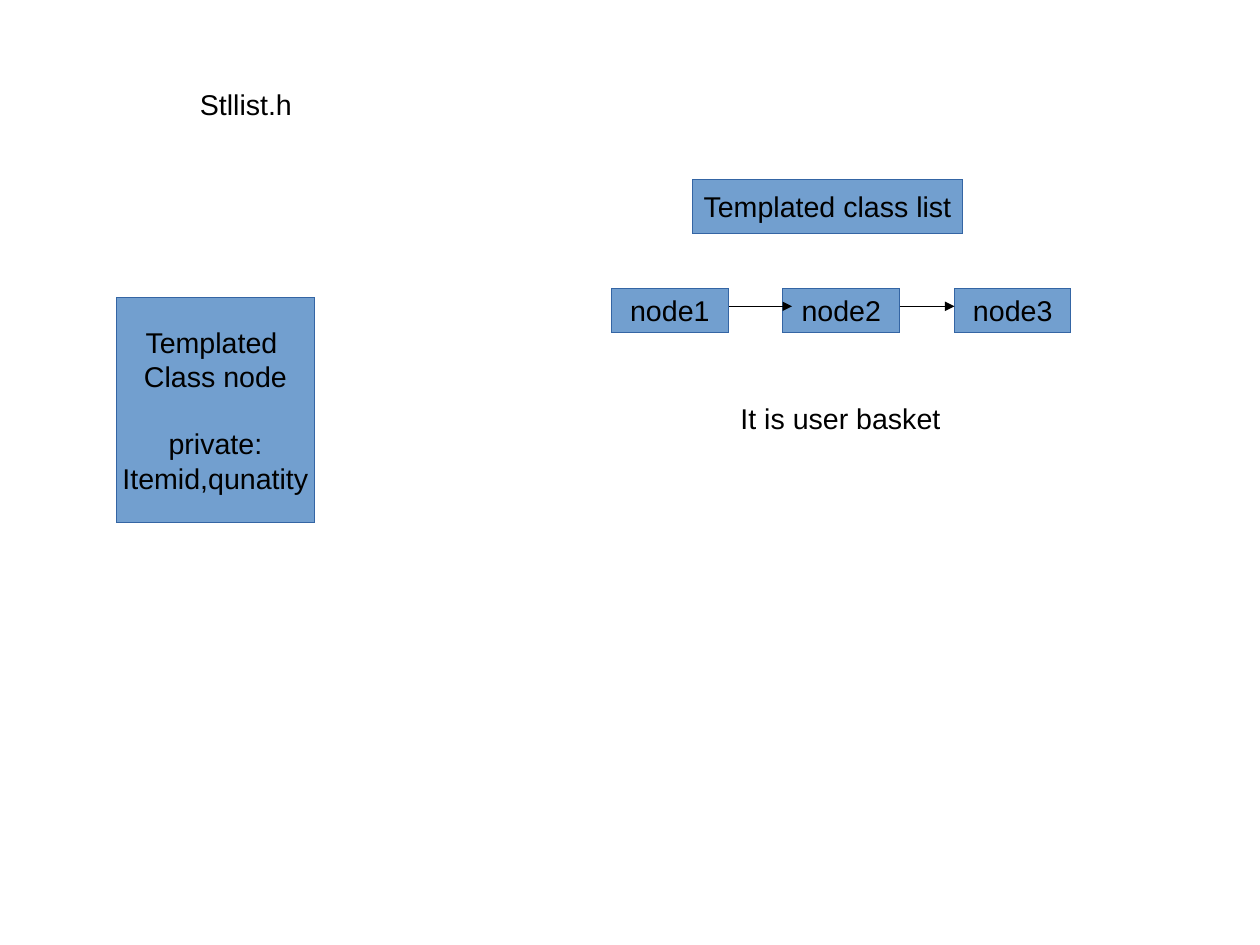
from pptx import Presentation
from pptx.dml.color import RGBColor
from pptx.enum.shapes import MSO_CONNECTOR, MSO_SHAPE
from pptx.enum.text import MSO_ANCHOR, MSO_AUTO_SIZE, PP_ALIGN
from pptx.oxml.ns import qn
from pptx.util import Cm, Inches, Pt
from lxml import etree

RECTANGLE = MSO_SHAPE.RECTANGLE
STRAIGHT = MSO_CONNECTOR.STRAIGHT
LEFT, CENTER = PP_ALIGN.LEFT, PP_ALIGN.CENTER
TOP, MIDDLE = MSO_ANCHOR.TOP, MSO_ANCHOR.MIDDLE
GROW = MSO_AUTO_SIZE.SHAPE_TO_FIT_TEXT
BLANK_LAYOUT = 6
LINE_HEIGHT = 20.7

prs = Presentation()
prs.slide_width, prs.slide_height = Cm(28), Cm(21)
slide = prs.slides.add_slide(prs.slide_layouts[BLANK_LAYOUT])


def draw_hairline(line, hex_code):
    """Give a line its colour and the explicit width 0; return its XML."""
    line.color.rgb = RGBColor.from_string(hex_code)
    outline = line._get_or_add_ln()
    outline.set("w", "0")
    return outline


def add_text(text, left, top, width, height, boxed=True, wrap=False, gap_before=None):
    """Add text, boxed in blue or plain, with a gap above the line gap_before."""
    place = [Inches(length) for length in (left, top, width, height)]
    if boxed:
        holder = slide.shapes.add_shape(RECTANGLE, *place)
        holder.shadow.inherit = False
        holder.fill.solid()
        holder.fill.fore_color.rgb = RGBColor.from_string("729FCF")
        draw_hairline(holder.line, "3465A4")
    else:
        holder = slide.shapes.add_textbox(*place)
    frame = holder.text_frame
    frame.text = text
    frame.word_wrap = wrap
    frame.vertical_anchor = MIDDLE if boxed else TOP
    if not boxed:
        frame.auto_size = GROW
    for number, paragraph in enumerate(frame.paragraphs):
        paragraph.alignment = CENTER if boxed else LEFT
        if number == gap_before:
            paragraph.space_before = Pt(LINE_HEIGHT)
        for run in paragraph.runs:
            run.font.name, run.font.size = "Arial", Pt(18)
            run.font.color.rgb = RGBColor.from_string("000000")


add_text("Stllist.h", 1.65, 0.71, 1.02, 0.38, boxed=False)
add_text("Templated \nClass node\nprivate:\nItemid,qunatity",
         1.02, 2.6, 1.73, 1.97, gap_before=2)

# Linked nodes at equal steps
for position in range(3):
    add_text(f"node{position + 1}", 5.35 + 1.5 * position, 2.52, 1.02, 0.39)

for start, end in ((6.38, 6.93), (7.87, 8.35)):
    link = slide.shapes.add_connector(
        STRAIGHT, Inches(start), Inches(2.68), Inches(end), Inches(2.68))
    outline = draw_hairline(link.line, "000000")
    etree.SubElement(outline, qn("a:tailEnd"), type="triangle")
    etree.SubElement(link._element.spPr, qn("a:effectLst"))

add_text("It is user basket", 6.38, 3.46, 2.6, 0.38, boxed=False, wrap=True)
add_text("Templated class list", 6.06, 1.57, 2.36, 0.47)

prs.save("out.pptx")
